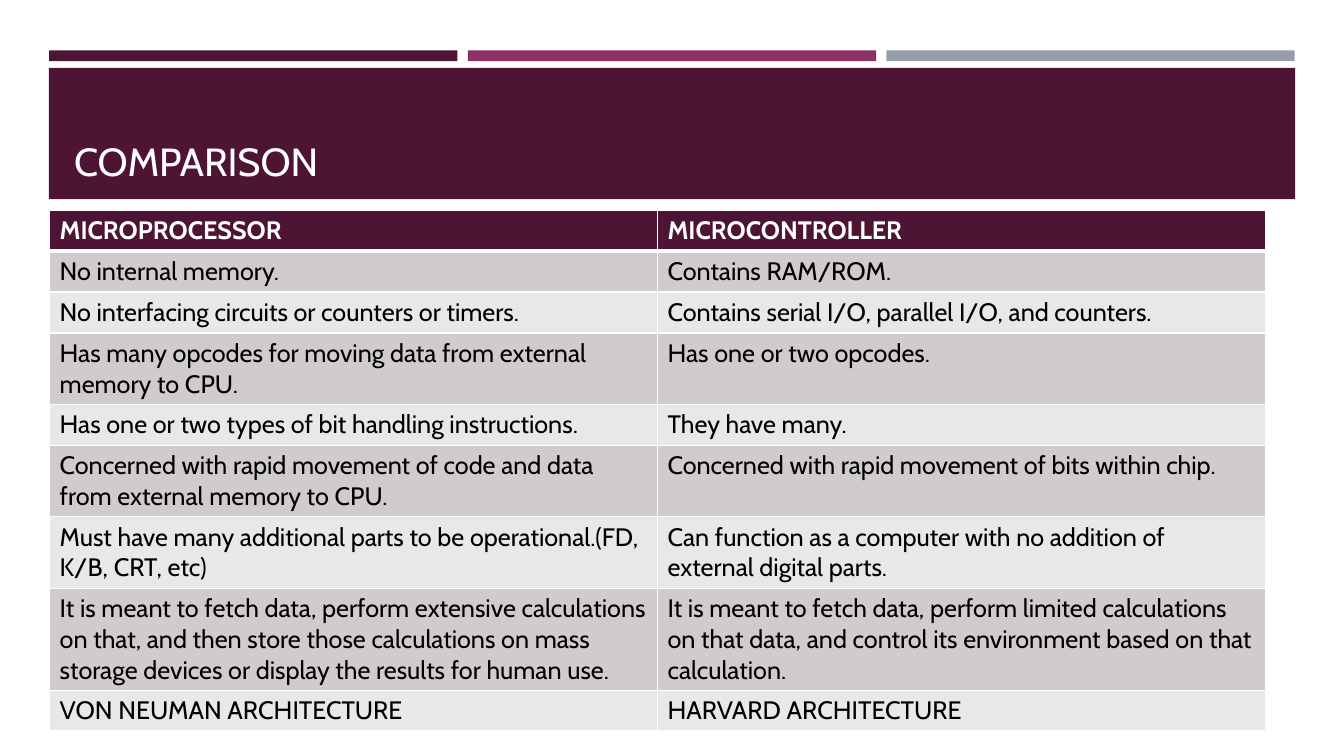
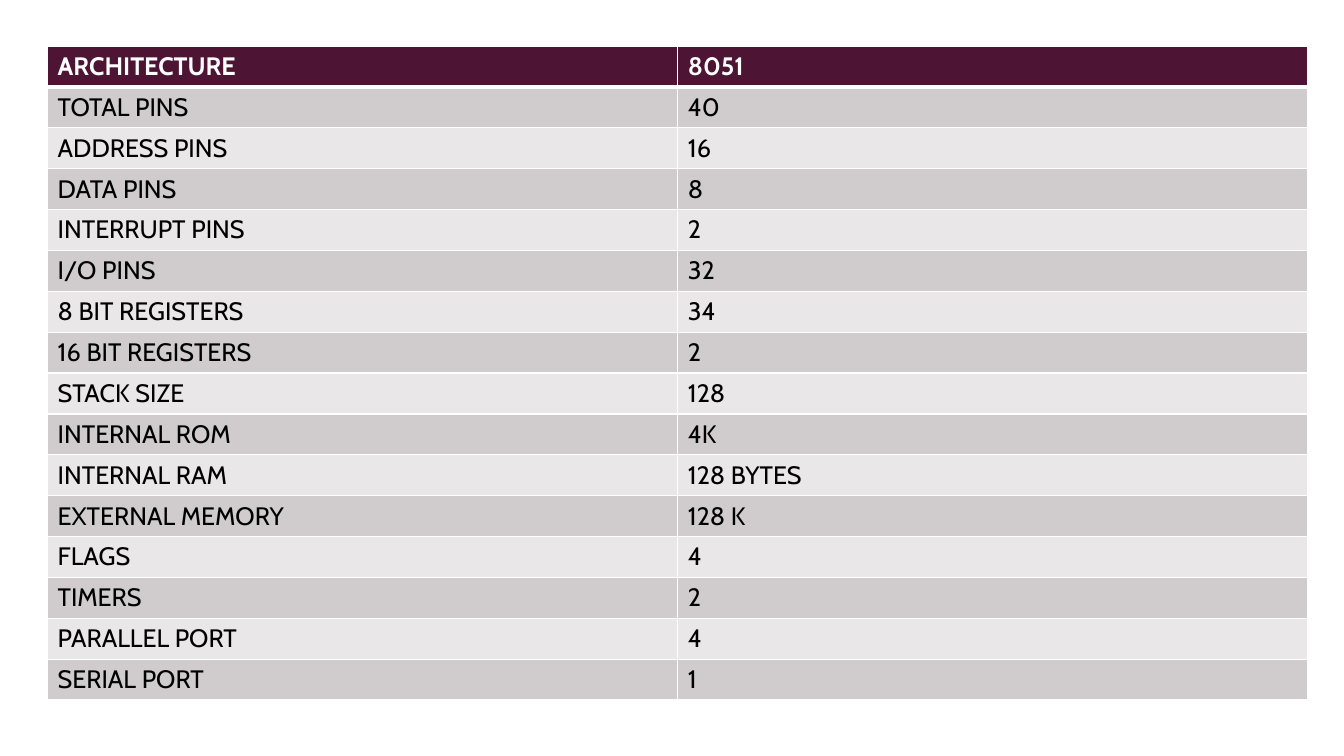
from lxml import etree
from pptx import Presentation
from pptx import util as u
from pptx.dml.color import RGBColor
from pptx.enum import shapes, text
from pptx.oxml import ns

COLORS = {
    "plum": "4D1434",
    "magenta": "903163",
    "grey": "969FA7",
    "white": "FFFFFF",
    "black": "000000",
    "dark_row": "D0CCCE",
    "light_row": "E9E7E8",
}

COMPARISON = [
    ("MICROPROCESSOR", "MICROCONTROLLER"),
    ("No internal memory.", "Contains RAM/ROM."),
    ("No interfacing circuits or counters or timers.",
     "Contains serial I/O, parallel I/O, and counters."),
    ("Has many opcodes for moving data from external memory to CPU.",
     "Has one or two opcodes."),
    ("Has one or two types of bit handling instructions.", "They have many."),
    ("Concerned with rapid movement of code and data from external memory to CPU.",
     "Concerned with rapid movement of bits within chip."),
    ("Must have many additional parts to be operational.(FD, K/B, CRT, etc)",
     "Can function as a computer with no addition of external digital parts."),
    ("It is meant to fetch data, perform extensive calculations on that, and then "
     "store those calculations on mass storage devices or display the results for "
     "human use.",
     "It is meant to fetch data, perform limited calculations on that data, and "
     "control its environment based on that calculation."),
    ("VON NEUMAN ARCHITECTURE", "HARVARD ARCHITECTURE"),
]
COMPARISON_LINES = (1, 1, 1, 2, 1, 2, 2, 3, 1)

ARCHITECTURE = [
    ("ARCHITECTURE", "8051"),
    ("TOTAL PINS", "40"),
    ("ADDRESS PINS", "16"),
    ("DATA PINS", "8"),
    ("INTERRUPT PINS", "2"),
    ("I/O PINS", "32"),
    ("8 BIT REGISTERS", "34"),
    ("16 BIT REGISTERS", "2"),
    ("STACK SIZE", "128"),
    ("INTERNAL ROM", "4K"),
    ("INTERNAL RAM", "128 BYTES"),
    ("EXTERNAL MEMORY", "128 K"),
    ("FLAGS", "4"),
    ("TIMERS", "2"),
    ("PARALLEL PORT", "4"),
    ("SERIAL PORT", "1"),
]


class Slides:
    """Holds the shared style and the current page."""

    font = "Cabin"
    title_size = 28
    table_size = 18
    row_height = 1.03
    line_height = 0.77

    def __init__(self):
        self.deck = Presentation()
        self.deck.slide_width, self.deck.slide_height = u.Cm(33.87), u.Cm(19.05)
        self.page = None

    def new_page(self):
        self.page = self.deck.slides.add_slide(self.deck.slide_layouts[6])
        # Three thin stripes above the banner
        for index, color in enumerate(("plum", "magenta", "grey")):
            self.band(1.24 + index * 10.55, 1.27, 10.29, 0.27, color)
        self.band(1.23, 1.71, 31.41, 3.31, "plum")

    def color(self, name):
        return RGBColor.from_string(COLORS[name])

    def span(self, para, words, size, color, bold=False):
        span = para.add_run()
        span.text = words
        span.font.name = self.font
        span.font.size = u.Pt(size)
        span.font.bold = bold
        span.font.color.rgb = self.color(color)

    def band(self, left, top, width, height, color):
        band = self.page.shapes.add_shape(
            shapes.MSO_SHAPE.RECTANGLE, *map(u.Cm, (left, top, width, height)))
        band.shadow.inherit = False
        band.fill.solid()
        band.fill.fore_color.rgb = self.color(color)
        band.line.fill.background()

    def title(self, words):
        box = self.page.shapes.add_textbox(*map(u.Cm, (1.62, 1.96, 30.63, 2.82)))
        box.text_frame.word_wrap = True
        box.text_frame.vertical_anchor = text.MSO_ANCHOR.BOTTOM
        self.span(box.text_frame.paragraphs[0], words, self.title_size, "white")

    def borders(self, cell, top, bottom):
        properties = cell._tc.get_or_add_tcPr()
        for side, points in (("L", 1), ("R", 1), ("T", top), ("B", bottom)):
            line = etree.SubElement(properties, ns.qn("a:ln" + side), w=str(u.Pt(points)))
            fill = etree.SubElement(line, ns.qn("a:solidFill"))
            etree.SubElement(fill, ns.qn("a:srgbClr"), val=COLORS["white"])

    def table(self, left, top, column_width, rows, lines=None):
        columns = len(rows[0])
        heights = [self.row_height + (count - 1) * self.line_height
                   for count in lines or [1] * len(rows)]
        table = self.page.shapes.add_table(
            len(rows), columns, u.Cm(left), u.Cm(top),
            u.Cm(column_width * columns), u.Cm(sum(heights))).table
        for column in table.columns:
            column.width = u.Cm(column_width)
        for index, (row, height) in enumerate(zip(rows, heights)):
            table.rows[index].height = u.Cm(height)
            header = index == 0
            fill = "plum" if header else "dark_row" if index % 2 else "light_row"
            for cell, words in zip(table.rows[index].cells, row):
                # A thick rule separates the header from the body
                self.borders(cell, 3 if index == 1 else 1, 3 if header else 1)
                cell.fill.solid()
                cell.fill.fore_color.rgb = self.color(fill)
                self.span(cell.text_frame.paragraphs[0], words, self.table_size,
                          "white" if header else "black", header)


def main():
    slides = Slides()

    # Microprocessor against microcontroller
    slides.new_page()
    slides.title("COMPARISON")
    slides.table(1.25, 5.3, 15.32, COMPARISON, COMPARISON_LINES)

    # Features of the 8051
    slides.new_page()
    slides.table(1.2, 1.16, 15.88, ARCHITECTURE)

    slides.deck.save("out.pptx")


if __name__ == "__main__":
    main()
